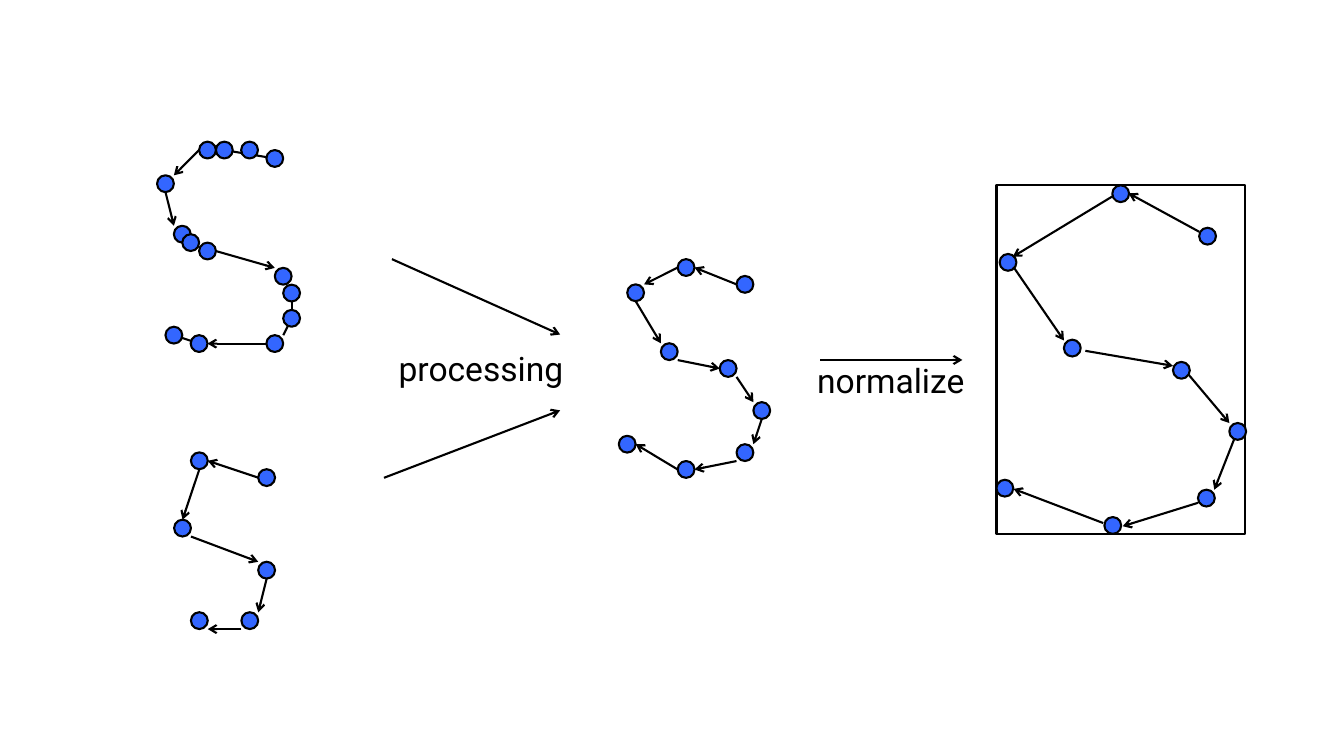
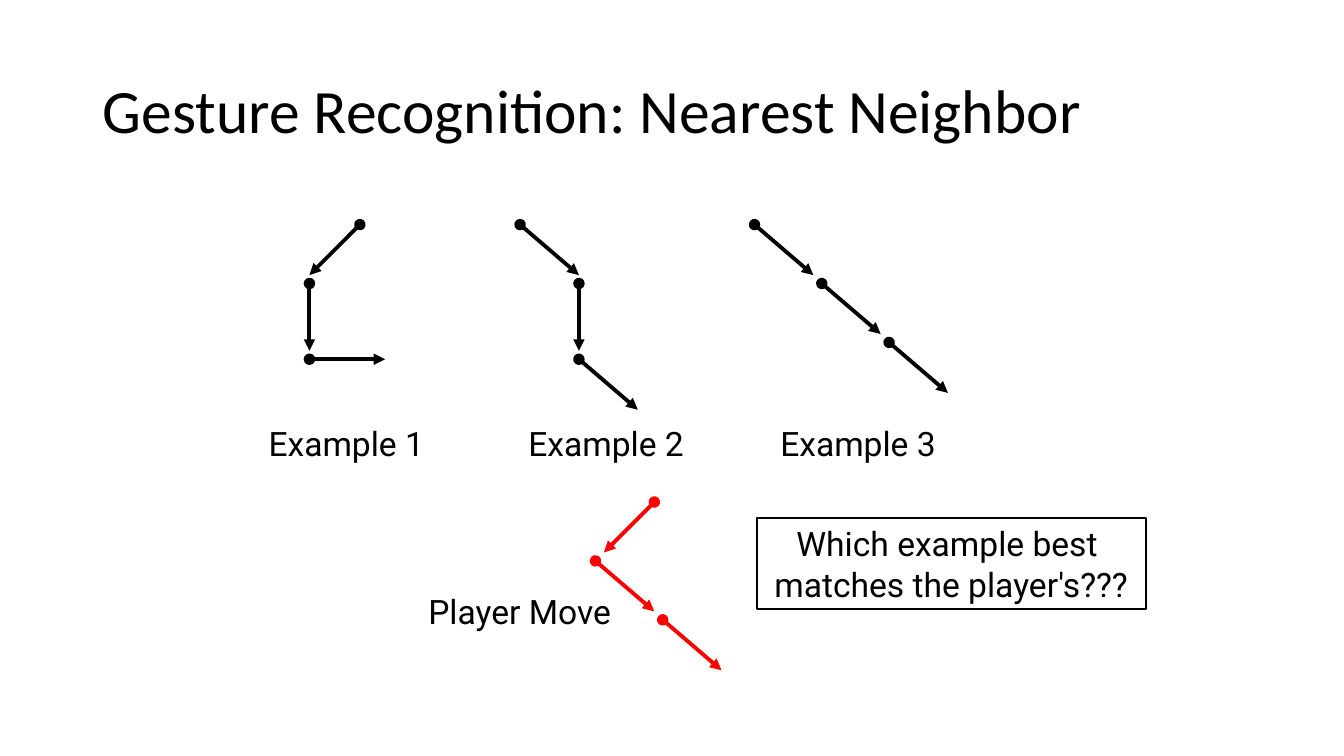
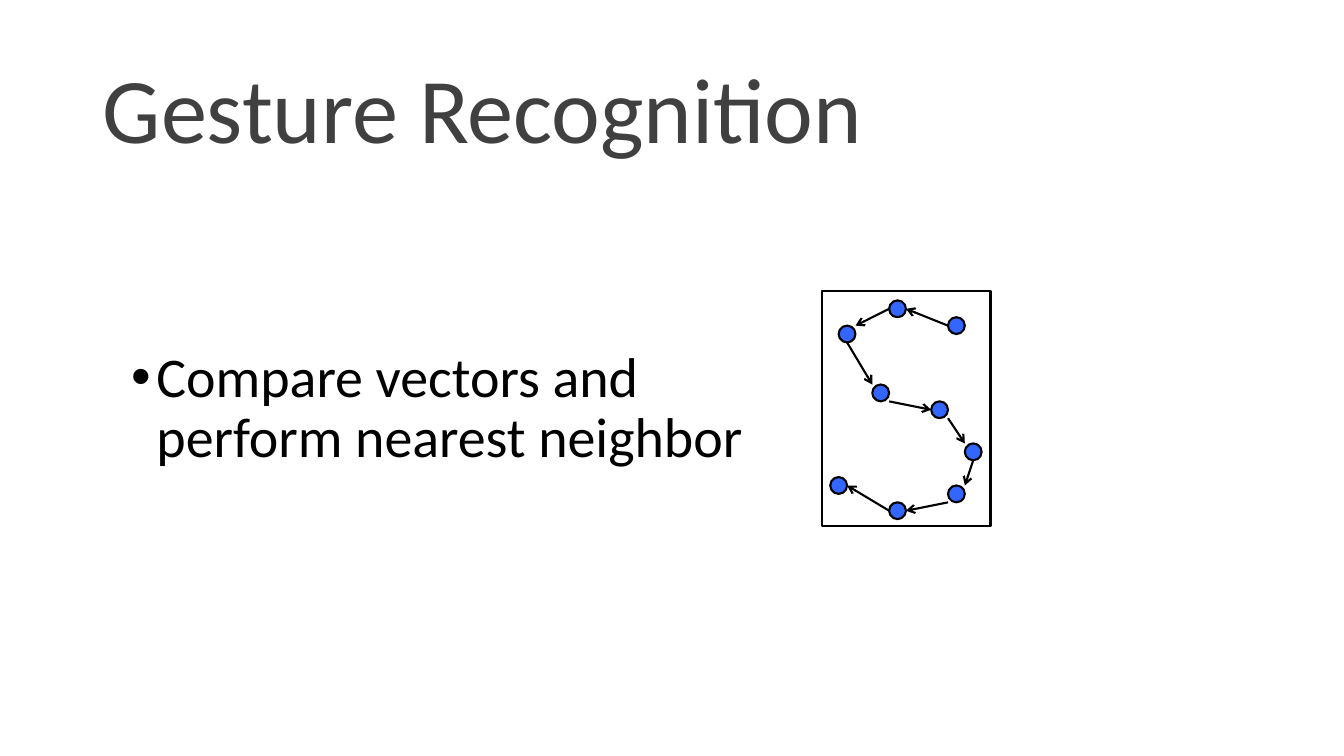
from lxml.etree import SubElement
from pptx import Presentation
from pptx.dml.color import RGBColor as RGB
from pptx.enum.shapes import MSO_CONNECTOR as CONN, MSO_SHAPE as SHAPE
from pptx.enum.text import MSO_ANCHOR as ANCHOR, MSO_AUTO_SIZE as FIT, PP_ALIGN as ALIGN
from pptx.oxml.ns import qn
from pptx.util import Cm, Pt

COLORS = {"ink": "000000", "dot": "3366FF", "move": "FF0000", "grey": "404040"}
HEAD, LABEL = "Calibri", "Roboto"
U = 0.212
DOT = 0.424
TITLE, BLANK, BODY = 5, 6, 1

S_DOTS = [(14, 2), (7, 0), (1, 3), (5, 10), (12, 12), (16, 17), (14, 22), (7, 24), (0, 21)]
S_ARROWS = [(14, 3, 9, 1), (7, 1, 3, 3), (2, 5, 5, 10), (7, 12, 12, 13),
            (14, 14, 16, 17), (17, 19, 16, 22), (14, 24, 9, 25), (7, 25, 2, 22)]

DENSE_DOTS = [(13, 1), (10, 0), (7, 0), (5, 0), (0, 4), (2, 10), (3, 11), (5, 12),
              (14, 15), (15, 17), (15, 20), (13, 23), (4, 23), (1, 22)]
DENSE_LINES = [(5, 24, 2, 23), (16, 21, 15, 23), (16, 18, 16, 20), (14, 2, 8, 1)]
DENSE_ARROWS = [(5, 1, 2, 4), (1, 6, 2, 10), (13, 24, 6, 24), (7, 13, 14, 15)]

SPARSE_DOTS = [(10, 2), (2, 0), (0, 8), (10, 13), (8, 19), (2, 19)]
SPARSE_ARROWS = [(10, 3, 4, 1), (3, 2, 1, 8), (2, 10, 10, 13), (11, 15, 10, 19), (8, 21, 4, 21)]

SCALED_DOTS = [(5.11, 1.07), (2.92, 0), (0.08, 1.73), (1.7, 3.89), (4.45, 4.45),
               (5.87, 5.99), (5.08, 7.67), (2.72, 8.36), (0, 7.42)]
SCALED_ARROWS = [(5.11, 1.17, 3.33, 0.2), (2.92, 0.28, 0.41, 1.8), (0.43, 2.06, 1.7, 3.91),
                 (2.24, 4.17, 4.45, 4.55), (4.85, 4.78, 5.87, 5.99), (5.99, 6.4, 5.49, 7.67),
                 (5.08, 8, 3.18, 8.59), (2.69, 8.51, 0.43, 7.65)]

EXAMPLES = [
    (7.8, 6.43, [(6, 0, 0, 6), (0, 7, 0, 15), (0, 16, 9, 16)]),
    (13.11, 12.98, [(0, 0, 7, 6), (7, 7, 7, 15), (7, 16, 14, 22)]),
    (19.02, 19.33, [(0, 0, 7, 6), (8, 7, 15, 13), (16, 14, 23, 20)]),
]
PLAYER = [(7, 0, 1, 6), (0, 7, 7, 13), (8, 14, 15, 20)]


class Deck:
    """Holds the shared style and the slide being drawn."""

    def __init__(self):
        self.prs = Presentation()
        self.prs.slide_width, self.prs.slide_height = Cm(33.88), Cm(19.05)

    def slide(self, layout):
        self.s = self.prs.slides.add_slide(self.prs.slide_layouts[layout])

    def run(self, p, text, size, font=LABEL, color="ink"):
        r = p.add_run()
        r.text = text
        r.font.name, r.font.size = font, Pt(size)
        r.font.color.rgb = RGB.from_string(COLORS[color])

    def place(self, sp, x, y, w, h):
        sp.left, sp.top, sp.width, sp.height = Cm(x), Cm(y), Cm(w), Cm(h)

    def title(self, text, size, color="ink"):
        sp = self.s.shapes.title
        self.place(sp, 2.34, 1.02, 29.21, 3.68)
        tf = sp.text_frame
        tf.auto_size, tf.vertical_anchor = FIT.NONE, ANCHOR.MIDDLE
        p = tf.paragraphs[0]
        p.alignment, p.line_spacing = ALIGN.LEFT, 0.9
        self.run(p, text, size, HEAD, color)

    def bullet(self, text):
        sp = self.s.placeholders[1]
        self.place(sp, 3.05, 5.13, 16.08, 11.18)
        tf = sp.text_frame
        tf.auto_size, tf.margin_top = FIT.NONE, Cm(3.66)
        p = tf.paragraphs[0]
        pPr = p._p.get_or_add_pPr()
        pPr.set("marL", str(Cm(0.64)))
        pPr.set("indent", str(Cm(-0.64)))
        SubElement(SubElement(pPr, qn("a:buClr")), qn("a:srgbClr"), val=COLORS["ink"])
        SubElement(pPr, qn("a:buFont"), typeface="Arial")
        SubElement(pPr, qn("a:buChar"), char="•")
        p.line_spacing, p.space_before = 0.9, Pt(0)
        self.run(p, text, 40, HEAD)

    def centered(self, sp, lines):
        tf = sp.text_frame
        tf.word_wrap, tf.auto_size = False, FIT.SHAPE_TO_FIT_TEXT
        for i, line in enumerate(lines):
            p = tf.add_paragraph() if i else tf.paragraphs[0]
            p.alignment = ALIGN.CENTER
            self.run(p, line, 24)

    def label(self, text, x, y, w):
        self.centered(self.s.shapes.add_textbox(Cm(x), Cm(y), Cm(w), Cm(1.27)), [text])

    def shape(self, kind, x, y, w, h, fill=None):
        sp = self.s.shapes.add_shape(kind, Cm(x), Cm(y), Cm(w), Cm(h))
        sp.shadow.inherit = False
        if fill:
            sp.fill.solid()
            sp.fill.fore_color.rgb = RGB.from_string(COLORS[fill])
        else:
            sp.fill.background()
        sp.line.color.rgb = RGB.from_string(COLORS["ink"])
        sp.line.width = Pt(1.5)
        return sp

    def box(self, x, y, w, h, lines=()):
        sp = self.shape(SHAPE.RECTANGLE, x, y, w, h)
        if lines:
            self.centered(sp, lines)

    def line(self, x1, y1, x2, y2, head=None, tail=None, color="ink", width=1.5):
        c = self.s.shapes.add_connector(CONN.STRAIGHT, Cm(x1), Cm(y1), Cm(x2), Cm(y2))
        c.line.color.rgb = RGB.from_string(COLORS[color])
        c.line.width = Pt(width)
        spPr = c._element.spPr
        for tag, kind in (("a:headEnd", head), ("a:tailEnd", tail)):
            if kind:
                SubElement(spPr.find(qn("a:ln")), qn(tag), type=kind)
        SubElement(spPr, qn("a:effectLst"))

    def lines(self, x, y, segments, unit=U, **style):
        for x1, y1, x2, y2 in segments:
            self.line(x + x1 * unit, y + y1 * unit, x + x2 * unit, y + y2 * unit, **style)

    def stroke(self, x, y, dots, arrows, links=(), unit=U):
        self.lines(x, y, links, unit)
        for dx, dy in dots:
            self.shape(SHAPE.OVAL, x + dx * unit, y + dy * unit, DOT, DOT, "dot")
        self.lines(x, y, arrows, unit, tail="arrow")

    def gesture(self, x, y, segments, color="ink"):
        self.lines(x, y, segments, head="oval", tail="triangle", color=color, width=2.75)


def main():
    d = Deck()

    d.slide(BLANK)
    d.stroke(3.96, 3.57, DENSE_DOTS, DENSE_ARROWS, DENSE_LINES)
    d.stroke(4.39, 11.4, SPARSE_DOTS, SPARSE_ARROWS)
    d.stroke(15.6, 6.53, S_DOTS, S_ARROWS)
    d.line(9.88, 6.53, 14.12, 8.43, tail="arrow")
    d.line(9.68, 12.04, 14.12, 10.34, tail="arrow")
    d.label("processing", 9.7, 8.64, 4.85)
    d.line(20.68, 9.07, 24.26, 9.07, tail="arrow")
    d.box(25.12, 4.67, 6.27, 8.79)
    d.stroke(25.12, 4.67, SCALED_DOTS, SCALED_ARROWS, unit=1)
    d.label("normalize", 20.22, 8.94, 4.47)

    d.slide(TITLE)
    d.title("Gesture Recognition: Nearest Neighbor", 44)
    for i, (x, label_x, segments) in enumerate(EXAMPLES, 1):
        d.gesture(x, 5.66, segments)
        d.label(f"Example {i}", label_x, 10.52, 4.6)
    d.gesture(15.01, 12.65, PLAYER, "move")
    d.label("Player Move", 10.41, 14.76, 5.38)
    d.box(19.08, 13.06, 9.8, 2.29, ["Which example best ", "matches the player's???"])

    d.slide(BODY)
    d.title("Gesture Recognition", 66, "grey")
    d.bullet("Compare vectors and perform nearest neighbor")
    d.box(20.73, 7.34, 4.24, 5.92)
    d.stroke(20.93, 7.57, S_DOTS, S_ARROWS)

    d.prs.save("out.pptx")


if __name__ == "__main__":
    main()
